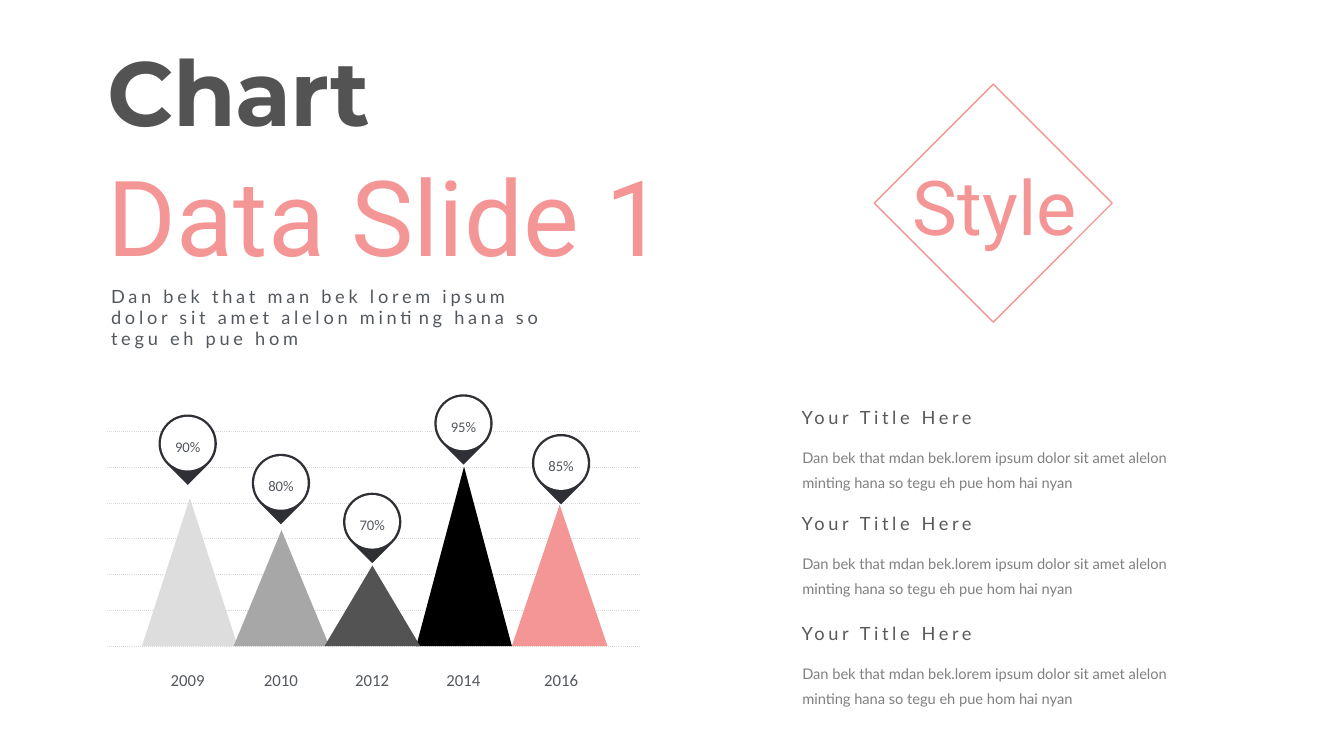
import dataclasses

import pptx
import pptx.dml.color
import pptx.enum.dml
import pptx.enum.shapes
import pptx.enum.text
import pptx.oxml.ns
import pptx.util
from lxml import etree

Cm = pptx.util.Cm
Pt = pptx.util.Pt
RGB = pptx.dml.color.RGBColor.from_string
SHAPE = pptx.enum.shapes.MSO_SHAPE
ALIGN = pptx.enum.text.PP_ALIGN
ANCHOR = pptx.enum.text.MSO_ANCHOR


@dataclasses.dataclass(frozen=True)
class Theme:
    accent: str = "F59696"
    dark: str = "535353"
    heading: str = "595959"
    label: str = "53585F"
    muted: str = "808080"
    pin: str = "2F3035"
    grid: str = "D9D9D9"
    white: str = "FFFFFF"
    title_size: float = 65
    subtitle_size: float = 75
    style_size: float = 54
    heading_size: float = 13
    year_size: float = 12
    small_size: float = 10.5


theme = Theme()


def write(box, text, *, size, font, color, bold=False, align=ALIGN.LEFT,
          anchor=ANCHOR.TOP, line_spacing=1.0, tracking=0):
    """Fill a box with one formatted paragraph; tracking is in points."""
    frame = box.text_frame
    frame.word_wrap = True
    frame.auto_size = pptx.enum.text.MSO_AUTO_SIZE.NONE
    frame.vertical_anchor = anchor
    frame.margin_left = frame.margin_right = Cm(0.08)
    frame.margin_top = frame.margin_bottom = Cm(0.08)
    para = frame.paragraphs[0]
    para.alignment = align
    para.line_spacing = line_spacing
    span = para.add_run()
    span.text = text
    span.font.size = Pt(size)
    span.font.name = font
    span.font.bold = bold
    span.font.color.rgb = RGB(color)
    if tracking:
        span._r.get_or_add_rPr().set("spc", str(round(tracking * 100)))


def add_plain(kind, left, top, width, height, fill):
    """Add a filled preset shape, in centimetres, without line or shadow."""
    shape = page.shapes.add_shape(kind, Cm(left), Cm(top), Cm(width), Cm(height))
    shape.shadow.inherit = False
    shape.fill.solid()
    shape.fill.fore_color.rgb = RGB(fill)
    shape.line.fill.background()
    return shape


deck = pptx.Presentation()
deck.slide_width, deck.slide_height = Cm(33.87), Cm(19.05)
page = deck.slides.add_slide(deck.slide_layouts[5])

# Titles
title = page.shapes.title
title.left, title.top, title.width, title.height = Cm(2.64), Cm(0.81), Cm(9.91), Cm(2.92)
write(title, "Chart", size=theme.title_size, font="Montserrat",
      color=theme.dark, bold=True, tracking=-0.7)

subtitle = page.shapes.add_textbox(Cm(2.64), Cm(3.73), Cm(14.99), Cm(3.35))
write(subtitle, "Data Slide 1", size=theme.subtitle_size, font="Roboto", color=theme.accent)

intro = page.shapes.add_textbox(Cm(2.72), Cm(7.14), Cm(11.2), Cm(1.75))
write(intro, "Dan bek that man bek lorem ipsum dolor sit amet alelon minting hana so tegu eh pue hom",
      size=theme.heading_size, font="Lato", color=theme.label,
      line_spacing=Pt(15), tracking=2.7)

# Dotted grid
base, grid_gap = 16.28, 0.9
for step in range(7):
    y = Cm(base - step * grid_gap)
    grid_line = page.shapes.add_connector(
        pptx.enum.shapes.MSO_CONNECTOR.STRAIGHT, Cm(2.69), y, Cm(16.15), y)
    grid_line.line.color.rgb = RGB(theme.grid)
    grid_line.line.width = Pt(0.75)
    grid_line.line.dash_style = pptx.enum.dml.MSO_LINE.ROUND_DOT
    etree.SubElement(grid_line._element.spPr, pptx.oxml.ns.qn("a:effectLst"))

# Peaks, back to front: year, value, fill, peak left, peak height, pin centre x and y
peaks = [
    ("2016", "85%", theme.accent, 12.9, 3.56, 14.14, 11.67),
    ("2009", "90%", "DDDDDD", 3.58, 3.73, 4.73, 11.18),
    ("2010", "80%", "A7A7A7", 5.89, 2.92, 7.08, 12.17),
    ("2014", "95%", "000000", 10.49, 4.52, 11.68, 10.67),
    ("2012", "70%", theme.dark, 8.18, 2.03, 9.38, 13.15),
]
pin_size, disc_size = 1.47, 1.35
for year, value, fill, left, height, x, y in peaks:
    add_plain(SHAPE.ISOSCELES_TRIANGLE, left, base - height, 2.41, height, fill)

    pin = add_plain(SHAPE.TEAR, x - pin_size / 2, y - pin_size / 2,
                    pin_size, pin_size, theme.pin)
    pin.rotation = 135
    add_plain(SHAPE.OVAL, x - disc_size / 2, y - disc_size / 2,
              disc_size, disc_size, theme.white)

    value_box = page.shapes.add_textbox(Cm(x - 0.55), Cm(y - 0.41), Cm(1.1), Cm(0.6))
    write(value_box, value, size=theme.small_size, font="Calibri", color=theme.label,
          align=ALIGN.CENTER, line_spacing=1.4)
    year_box = page.shapes.add_textbox(Cm(x - 0.61), Cm(16.69), Cm(1.22), Cm(0.69))
    write(year_box, year, size=theme.year_size, font="Calibri", color=theme.label,
          align=ALIGN.CENTER, anchor=ANCHOR.MIDDLE, line_spacing=1.4)

# Style diamond
diamond = add_plain(SHAPE.RECTANGLE, 22.91, 3, 4.24, 4.24, theme.white)
diamond.fill.background()
diamond.line.color.rgb = RGB(theme.accent)
diamond.line.width = Pt(1)
diamond.rotation = 45
style_box = page.shapes.add_textbox(Cm(22.35), Cm(3.96), Cm(5.44), Cm(2.44))
write(style_box, "Style", size=theme.style_size, font="Roboto",
      color=theme.accent, align=ALIGN.CENTER)

# Text sections
for top in (10.16, 12.83, 15.6):
    heading = page.shapes.add_textbox(Cm(20.12), Cm(top), Cm(5.16), Cm(0.69))
    write(heading, "Your Title Here", size=theme.heading_size, font="Lato",
          color=theme.heading, tracking=2.6)
    detail = page.shapes.add_textbox(Cm(20.14), Cm(top + 0.9), Cm(9.75), Cm(1.35))
    write(detail, "Dan bek that mdan bek.lorem ipsum dolor sit amet alelon minting hana so tegu eh pue hom hai nyan",
          size=theme.small_size, font="Lato", color=theme.muted, line_spacing=1.4)

deck.save("out.pptx")
